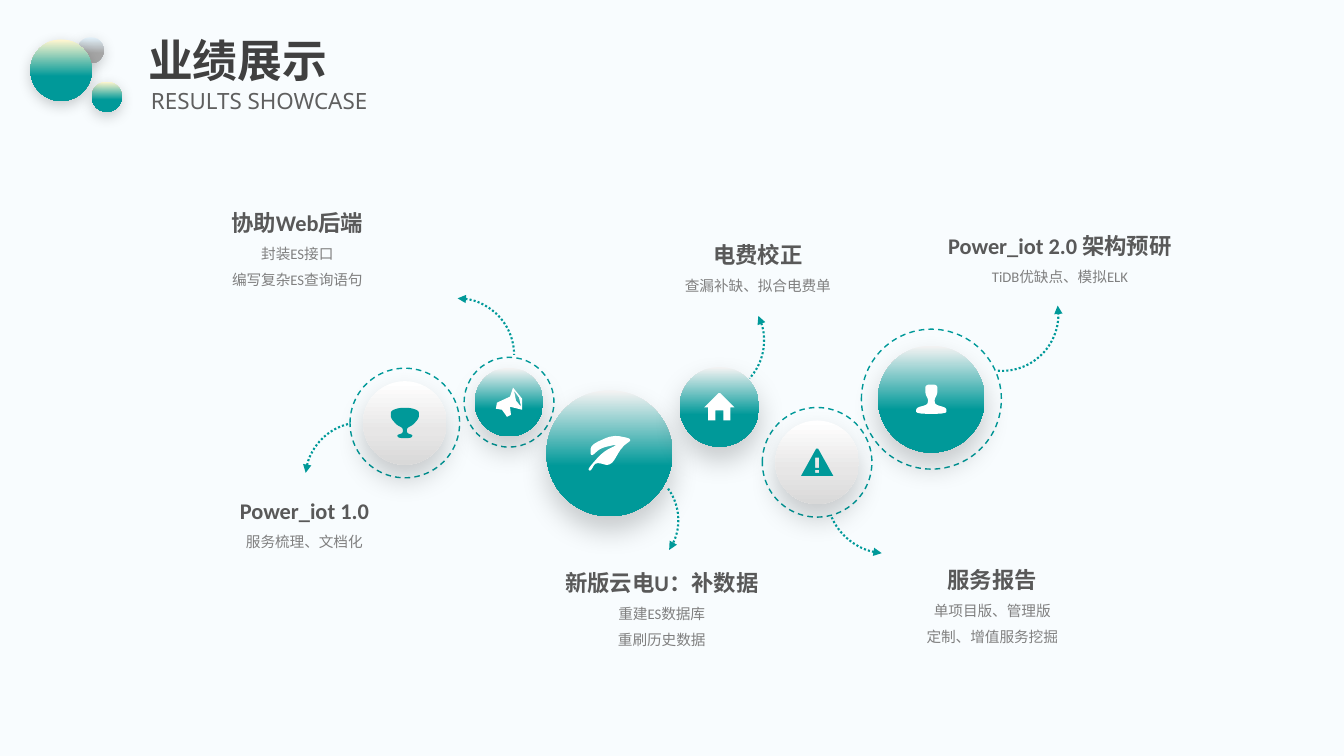
import pptx
import pptx.util
import pptx.dml.color
import pptx.enum.dml
import pptx.enum.shapes
import pptx.enum.text
import pptx.oxml.ns
from lxml import etree

COLS, ROWS = 40, 22.5
CELL = pptx.util.Inches(1) / 3
ICON_UNIT = CELL * 0.03
RING_RATIO = 1.31

COLORS = {
    "background": "F8FCFE", "teal": "009999", "white": "FFFFFF", "black": "000000",
    "title": "404040", "subtitle": "5F5F5F", "heading": "595959", "detail": "808080",
    "cream": "FFF6CF", "sky": "E1F0F9", "gray": "A5A5A5",
    "mist": "F2F2F2", "silver": "E7E6E6", "pewter": "D9D9D9",
}
GRADIENTS = {
    "logo_teal": ("cream", "teal", "teal"),
    "logo_gray": ("sky", "gray", "gray"),
    "teal": ("mist", "teal", "teal"),
    "light": ("white", "silver", "pewter"),
}
LOGO_DISCS = [
    (2.7, 1.5, 0.78, "logo_gray"),
    (3.18, 2.88, 0.9, "logo_teal"),
    (1.82, 2.09, 1.83, "logo_teal"),
]
HALF_ICONS = {
    "trophy": [[(6, 0), (14, 3), (14, 10), (8, 17), (2, 20), (2, 25), (8, 27), (6, 30)]],
    "person": [[(6, 0), (6, 9), (3, 15), (4, 20), (15, 23), (15, 29)]],
    "house": [[(1, 0), (15, 14), (11, 14), (11, 27), (4, 27), (4, 17)]],
    "warning": [[(1, 0), (16, 27)], [(2, 9), (2, 19)], [(2, 21), (2, 24)]],
}
WHOLE_ICONS = {
    "megaphone": [[(18, 1), (27, 12), (27, 23), (15, 20), (16, 28), (12, 30), (7, 23), (1, 22),
                   (2, 16), (15, 10)],
                  [(19, 4), (24, 11), (26, 20), (21, 14)]],
    "leaf": [[(4, 24), (14, 15), (32, 11), (16, 19), (1, 36), (4, 38), (9, 29), (24, 33),
              (35, 14), (46, 6), (26, 2), (4, 12)]],
}
ROUNDED_ICONS = ("trophy", "person", "leaf")
BUBBLES = [
    (24.32, 13.76, 2.49, True, "light", "warning"),
    (27.72, 11.88, 3.18, True, "teal", "person"),
    (15.15, 11.97, 2.04, True, "teal", "megaphone"),
    (12.05, 12.59, 2.49, True, "light", "trophy"),
    (18.14, 13.49, 3.75, False, "teal", "leaf"),
    (21.41, 12.11, 2.37, False, "teal", "house"),
]
ARROWS = [
    (13.62, 10.56, 3.36, 270, 0, "a:headEnd"),
    (21.06, 10.14, 3.36, 334, 42, "a:headEnd"),
    (29.82, 9.36, 3.36, 351, 95, "a:headEnd"),
    (26.4, 14.67, 3.6, 95, 157, "a:headEnd"),
    (18.6, 15.48, 3.18, 324, 34, "a:tailEnd"),
    (10.77, 14.25, 3.36, 186, 256, "a:headEnd"),
]
LABELS = [
    (23.73, 16.29, 11.61, ["服务报告", "单项目版、管理版", "定制、增值服务挖掘"]),
    (3.39, 14.25, 11.34, ["Power_iot 1.0", "服务梳理、文档化"]),
    (3.6, 5.67, 10.5, ["协助Web后端", "封装ES接口", "编写复杂ES查询语句"]),
    (16.95, 6.63, 11.22, ["电费校正", "查漏补缺、拟合电费单"]),
    (15.12, 16.38, 9.15, ["新版云电U：补数据", "重建ES数据库", "重刷历史数据"]),
    (27.72, 6.36, 7.65, ["Power_iot 2.0 架构预研", "TiDB优缺点、模拟ELK"]),
]


def cells(*values):
    return [round(v * CELL) for v in values]


def rgb(name):
    return pptx.dml.color.RGBColor.from_string(COLORS[name])


def add_xml(parent, tag, **attrs):
    return etree.SubElement(parent, pptx.oxml.ns.qn(tag), {k: str(v) for k, v in attrs.items()})


def find_xml(sp, tag):
    return sp._element.spPr.find(".//" + pptx.oxml.ns.qn(tag))


def add_round(s, kind, cx, cy, size):
    sp = s.shapes.add_shape(kind, *cells(cx - size / 2, cy - size / 2, size, size))
    sp.shadow.inherit = False
    sp.fill.background()
    sp.line.fill.background()
    return sp


def set_line(sp, width, dash):
    sp.line.color.rgb = rgb("teal")
    sp.line.width = pptx.util.Pt(width)
    sp.line.dash_style = dash


def add_ring(s, cx, cy, size):
    sp = add_round(s, pptx.enum.shapes.MSO_SHAPE.OVAL, cx, cy, size)
    set_line(sp, 1, pptx.enum.dml.MSO_LINE.DASH)


def add_disc(s, cx, cy, size, gradient, blur, distance):
    sp = add_round(s, pptx.enum.shapes.MSO_SHAPE.OVAL, cx, cy, size)
    sp.fill.gradient()
    sp.fill.gradient_angle = 270
    stops = find_xml(sp, "a:gsLst")
    stops.clear()
    for percent, color in zip((1, 60, 100), GRADIENTS[gradient]):
        add_xml(add_xml(stops, "a:gs", pos=percent * 1000), "a:srgbClr", val=COLORS[color])
    shadow = add_xml(find_xml(sp, "a:effectLst"), "a:outerShdw", blurRad=pptx.util.Pt(blur),
                     dist=pptx.util.Pt(distance), dir=5400000, algn="t", rotWithShape=0)
    add_xml(add_xml(shadow, "a:srgbClr", val=COLORS["black"]), "a:alpha", val=20000)


def mirror(half):
    return half + [(-x, y) for x, y in reversed(half)]


def round_corners(points):
    rounded = []
    for (x, y), (nx, ny) in zip(points, points[1:] + points[:1]):
        rounded += [(x + (nx - x) * t, y + (ny - y) * t) for t in (0.2, 0.8)]
    return rounded


def icon_contours(name):
    contours = WHOLE_ICONS.get(name) or [mirror(half) for half in HALF_ICONS[name]]
    if name in ROUNDED_ICONS:
        contours = [round_corners(round_corners(c)) for c in contours]
    return contours


def add_icon(s, name, cx, cy, color):
    contours = icon_contours(name)
    xs, ys = zip(*contours[0])
    left = cx * CELL - (min(xs) + max(xs)) / 2 * ICON_UNIT
    top = cy * CELL - (min(ys) + max(ys)) / 2 * ICON_UNIT
    contours = [[(left + x * ICON_UNIT, top + y * ICON_UNIT) for x, y in c] for c in contours]
    builder = s.shapes.build_freeform(*contours[0][0])
    for i, points in enumerate(contours):
        if i:
            builder.move_to(*points[0])
        builder.add_line_segments(points[1:], close=True)
    sp = builder.convert_to_shape()
    sp.shadow.inherit = False
    sp.fill.solid()
    sp.fill.fore_color.rgb = rgb(color)
    sp.line.fill.background()


def add_arrow(s, cx, cy, size, start, end, arrowhead):
    sp = add_round(s, pptx.enum.shapes.MSO_SHAPE.ARC, cx, cy, size)
    for i, degrees in enumerate((start, end)):
        sp.adjustments[i] = degrees * 0.6
    set_line(sp, 1.5, pptx.enum.dml.MSO_LINE.ROUND_DOT)
    add_xml(find_xml(sp, "a:ln"), arrowhead, type="triangle")


def format_paragraph(p, size, color, font, bold, spacing, align):
    p.alignment = align
    p.line_spacing = spacing
    for r in p.runs:
        r.font.size = pptx.util.Pt(size)
        r.font.name = font
        r.font.bold = bold
        r.font.color.rgb = rgb(color)


def add_label(s, left, top, width, lines):
    tf = s.shapes.add_textbox(*cells(left, top, width, 0.69 + 0.81 * len(lines))).text_frame
    tf.word_wrap = True
    tf.auto_size = pptx.enum.text.MSO_AUTO_SIZE.SHAPE_TO_FIT_TEXT
    tf.text = "\n".join(lines)
    for i, p in enumerate(tf.paragraphs):
        size, color = (10.5, "detail") if i else (16, "heading")
        format_paragraph(p, size, color, "Calibri", i == 0, 1.5, pptx.enum.text.PP_ALIGN.CENTER)


def set_header(sp, box, text, size, color, bold):
    sp.left, sp.top, sp.width, sp.height = cells(*box)
    tf = sp.text_frame
    tf.word_wrap = True
    tf.vertical_anchor = pptx.enum.text.MSO_ANCHOR.MIDDLE
    tf.auto_size = pptx.enum.text.MSO_AUTO_SIZE.NONE
    tf.text = text
    format_paragraph(tf.paragraphs[0], size, color, "Noto Sans", bold, 0.9,
                     pptx.enum.text.PP_ALIGN.LEFT)


def main():
    prs = pptx.Presentation()
    prs.slide_width, prs.slide_height = cells(COLS, ROWS)
    s = prs.slides.add_slide(prs.slide_layouts[5])
    s.background.fill.solid()
    s.background.fill.fore_color.rgb = rgb("background")
    for disc in LOGO_DISCS:
        add_disc(s, *disc, 10, 3)
    set_header(s.shapes.title, (4.11, 0.99, 34.5, 1.77), "业绩展示", 32, "title", True)
    set_header(s.shapes.add_textbox(0, 0, 0, 0), (4.2, 2.52, 27.51, 1.02),
               "RESULTS SHOWCASE", 16, "subtitle", False)
    for cx, cy, size, ringed, *_ in BUBBLES:
        if ringed:
            add_ring(s, cx, cy, size * RING_RATIO)
    for cx, cy, size, _, gradient, icon in BUBBLES:
        add_disc(s, cx, cy, size, gradient, 20, 10)
        add_icon(s, icon, cx, cy, "teal" if gradient == "light" else "white")
    for arrow in ARROWS:
        add_arrow(s, *arrow)
    for label in LABELS:
        add_label(s, *label)
    prs.save("out.pptx")


if __name__ == "__main__":
    main()
